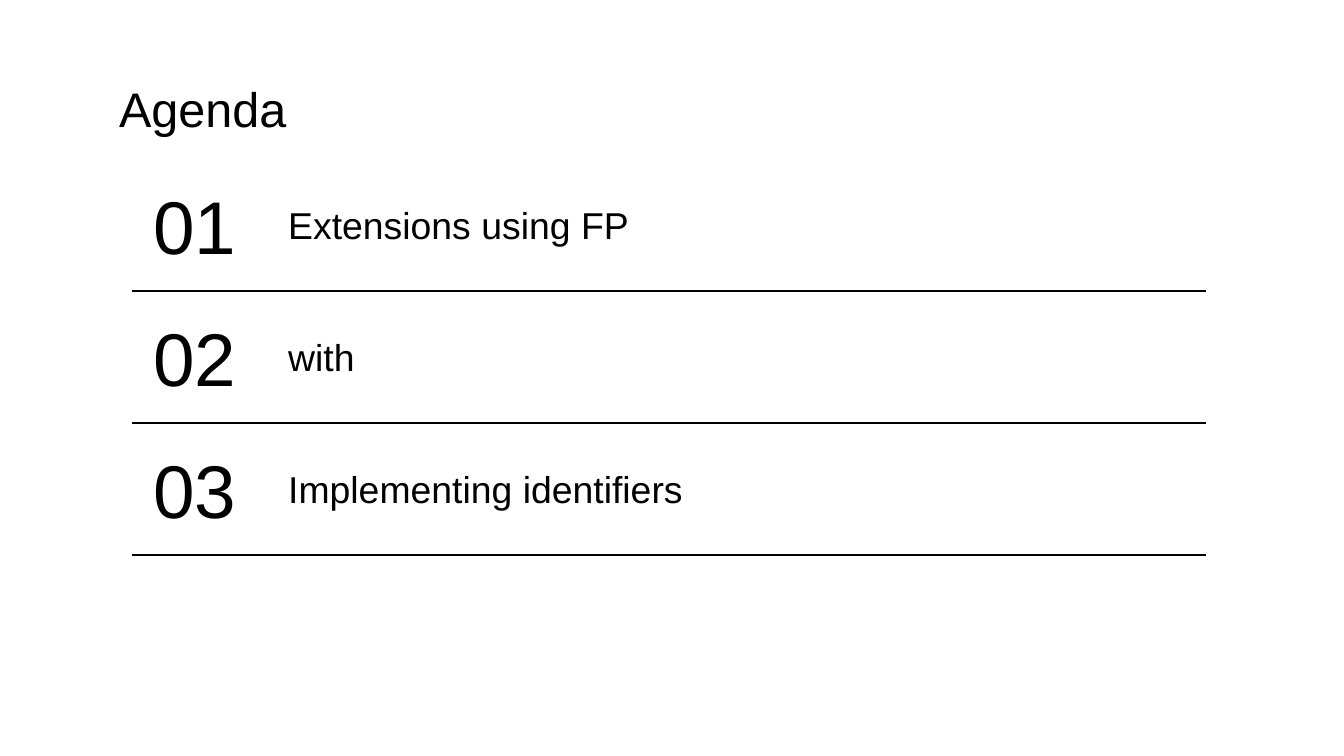
from lxml import etree
from pptx import Presentation
from pptx import util as u
from pptx.dml.color import RGBColor
from pptx.enum import shapes, text
from pptx.oxml.ns import qn

EMU_PER_PX = 914400 / 134.4
COLORS = {"ink": "000000", "paper": "FFFFFF"}
FONT = "Arial"
TOPICS = ["Extensions using FP", "with", "Implementing identifiers"]
ROW_PITCH = 132


def px(length):
    return u.Emu(round(length * EMU_PER_PX))


def color(name):
    return RGBColor.from_string(COLORS[name])


def add_text(page, wording, left, top, width, height, size,
             align=text.PP_ALIGN.LEFT, anchor=text.MSO_ANCHOR.MIDDLE):
    box = page.shapes.add_textbox(px(left), px(top), px(width), px(height))
    frame = box.text_frame
    frame.word_wrap = True
    frame.vertical_anchor = anchor
    frame.margin_left = frame.margin_right = u.Inches(0.1)
    frame.margin_top = frame.margin_bottom = u.Inches(0.1)
    frame.text = wording
    para = frame.paragraphs[0]
    para.alignment = align
    span = para.runs[0]
    span.font.name = FONT
    span.font.size = u.Pt(size)
    span.font.color.rgb = color("ink")


def add_rule(page, left, right, y):
    """Draw a thin horizontal line without a shadow."""
    rule = page.shapes.add_connector(
        shapes.MSO_CONNECTOR.STRAIGHT, px(left), px(y), px(right), px(y))
    rule.line.color.rgb = color("ink")
    rule.line.width = u.Pt(0.75)
    etree.SubElement(rule._element.spPr, qn("a:effectLst"))


def add_agenda_row(page, index, topic):
    offset = index * ROW_PITCH
    add_text(page, f"{index + 1:02d}", 138, 169 + offset, 114, 112, 40,
             align=text.PP_ALIGN.CENTER)
    add_text(page, topic, 275, 196 + offset, 570, 58, 20)
    add_rule(page, 132, 1206, 291 + offset)


def main():
    deck = Presentation()
    deck.slide_width, deck.slide_height = px(1344), px(756)
    page = deck.slides.add_slide(deck.slide_layouts[6])
    page.background.fill.solid()
    page.background.fill.fore_color.rgb = color("paper")

    add_text(page, "Agenda", 106, 66, 1133, 85, 26,
             anchor=text.MSO_ANCHOR.TOP)
    for index, topic in enumerate(TOPICS):
        add_agenda_row(page, index, topic)
    deck.save("out.pptx")


if __name__ == "__main__":
    main()
